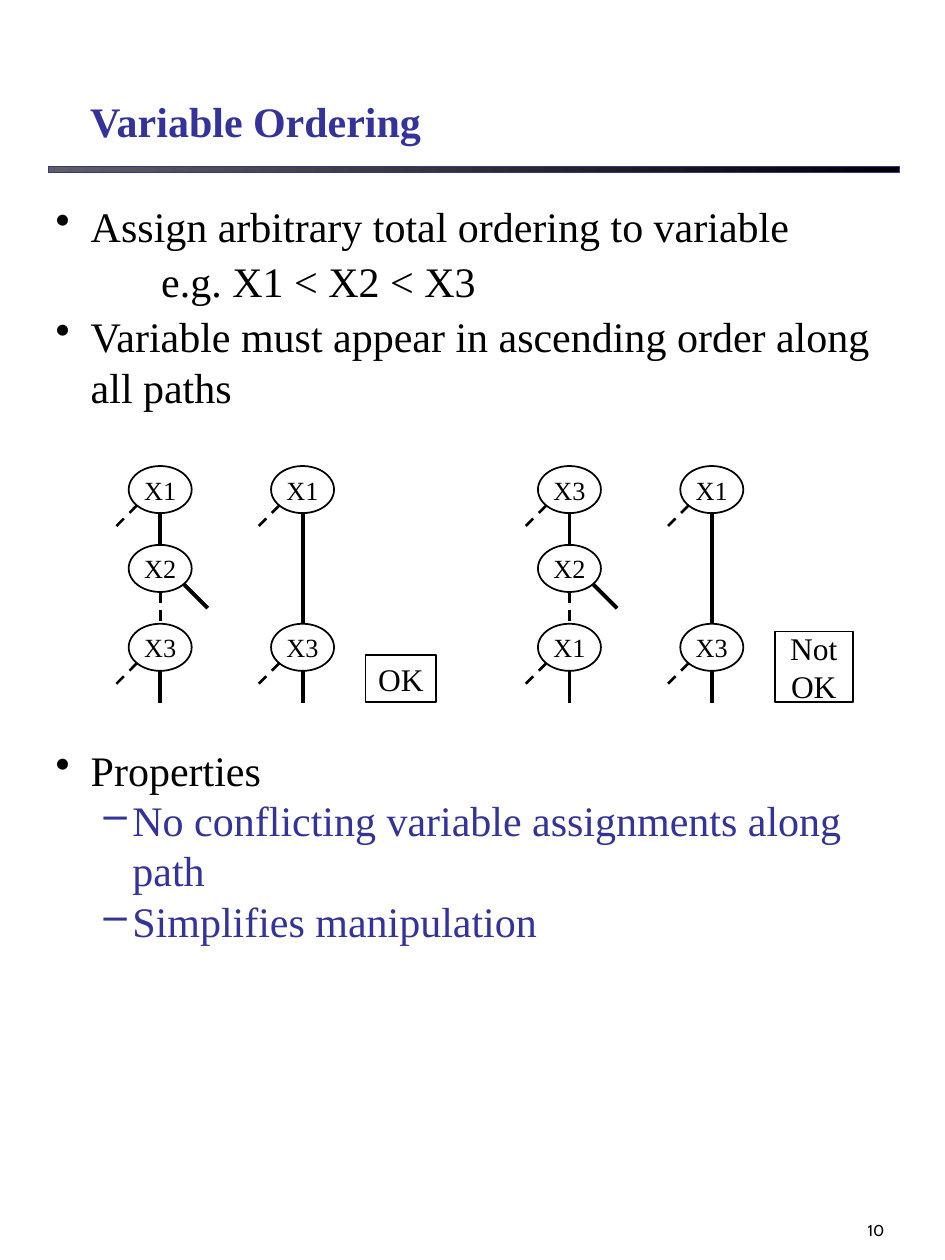
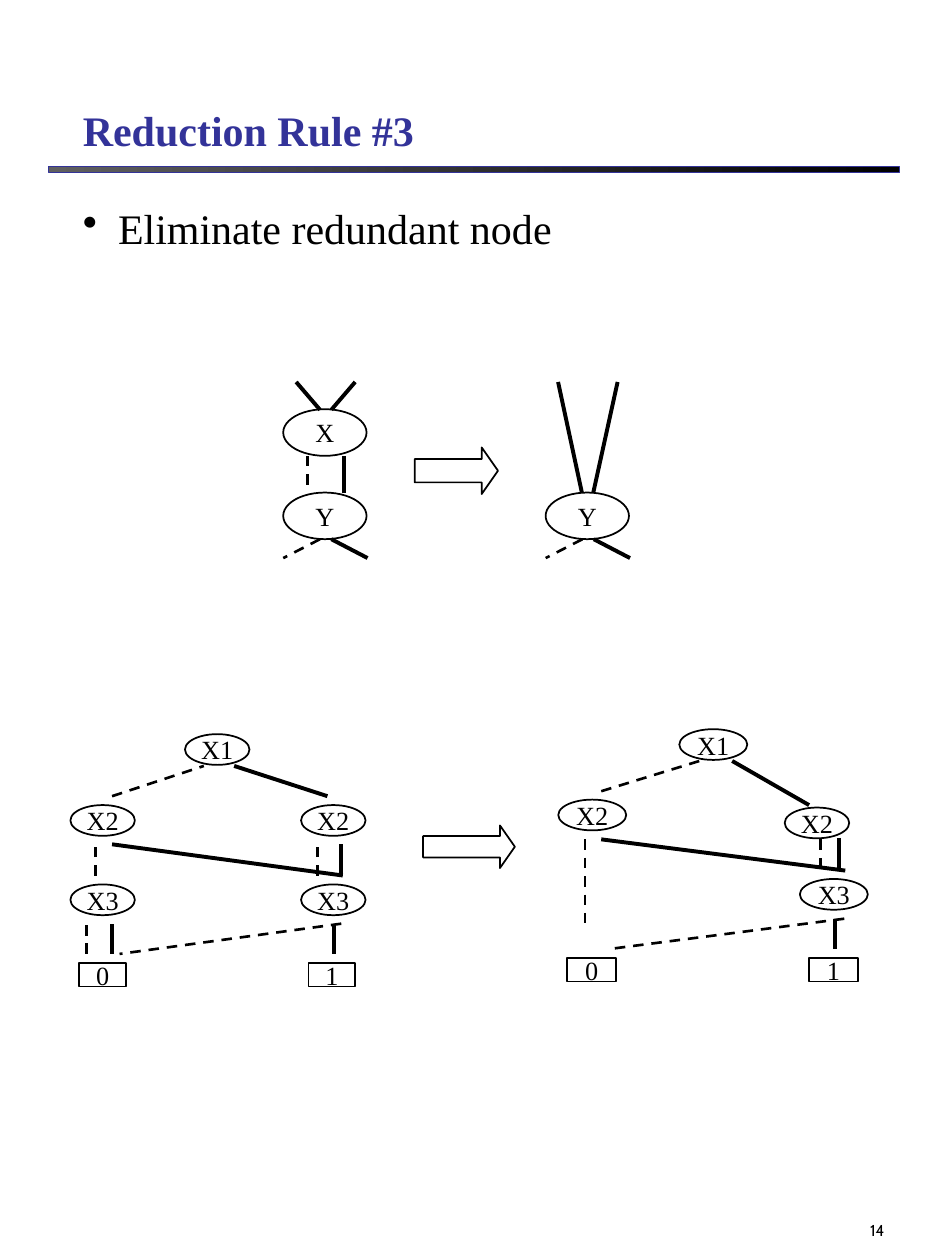
import pptx
import pptx.dml.color
import pptx.enum.dml
import pptx.enum.shapes
import pptx.enum.text
import pptx.oxml
import pptx.util

Cm, Pt = pptx.util.Cm, pptx.util.Pt
RGB = pptx.dml.color.RGBColor
SHAPE = pptx.enum.shapes.MSO_SHAPE
ALIGN = pptx.enum.text.PP_ALIGN
ANCHOR = pptx.enum.text.MSO_ANCHOR

BLACK = RGB(0, 0, 0)
GREY = RGB(0x5F, 0x5F, 0x5F)
NAVY = RGB(0x33, 0x33, 0x99)
SERIF, NUMBER_FONT = "Times New Roman", "Cabin"
SOLID, DASHED = "solid", "dashed"

# Bullet levels: character, colour, left margin and first-line indent in cm
LEVELS = {
    "main": ("•", BLACK, 0.71, -0.71),
    "example": (None, BLACK, 2.13, 0),
    "sub": ("–", NAVY, 1.55, -0.58),
}

# Body lines: text, level, space before in points
ORDERING_BODY = [
    ("Assign arbitrary total ordering to variable", "main", 2.8),
    ("e.g. X1 < X2 < X3", "example", 2.8),
    ("Variable must appear in ascending order along all paths", "main", 2.8),
    ("Properties", "main", 190),
    ("No conflicting variable assignments along path", "sub", 0),
    ("Simplifies manipulation", "sub", 0),
]
REDUCTION_BODY = [("Eliminate redundant node", "main", 5.6)]

# Variable chains: centre x, labels from top to bottom (None skips a level)
CHAINS = [
    (3.23, ["X1", "X2", "X3"]),
    (6.10, ["X1", None, "X3"]),
    (11.48, ["X3", "X2", "X1"]),
    (14.35, ["X1", None, "X3"]),
]
CHAIN_TOP, LEVEL_GAP = 9.87, 1.59
CHAIN_NODE = (1.27, 0.95)
VERDICTS = [("OK", 7.37, 13.21, 1.42, 0.95), ("Not\nOK", 15.62, 12.73, 1.57, 1.42)]

# Nodes: label, centre x, centre y, width, height
RULE_NODES = [(t, x, y, 1.68, 0.94) for t, x, y in [
    ("X", 6.55, 8.72), ("Y", 6.55, 10.4), ("Y", 11.84, 10.4)]]
BEFORE_NODES = [(t, x, y, 1.3, 0.62) for t, x, y in [
    ("X1", 4.38, 15.11), ("X2", 2.07, 16.54), ("X2", 6.72, 16.54),
    ("X3", 2.07, 18.14), ("X3", 6.72, 18.14)]]
AFTER_NODES = [
    ("X1", 14.38, 15.01, 1.37, 0.62), ("X2", 11.94, 16.43, 1.37, 0.62),
    ("X2", 16.47, 16.59, 1.3, 0.62), ("X3", 16.81, 18.03, 1.37, 0.62)]
LEAVES = [
    ("0", 2.07, 19.65, 0.94, 0.48), ("1", 6.69, 19.65, 0.94, 0.48),
    ("0", 11.93, 19.55, 0.99, 0.48), ("1", 16.8, 19.55, 0.99, 0.48)]

# Edges: style, start x, start y, end x, end y
RULE_EDGES = [
    (DASHED, 6.2, 9.19, 6.2, 9.93), (SOLID, 6.93, 9.19, 6.93, 9.93),
    (SOLID, 6.45, 8.26, 5.97, 7.7), (SOLID, 6.68, 8.26, 7.16, 7.7),
    (SOLID, 11.73, 9.93, 11.25, 7.7), (SOLID, 11.96, 9.93, 12.45, 7.7)]
BEFORE_EDGES = [
    (DASHED, 2.26, 16.05, 4.11, 15.44), (SOLID, 4.72, 15.44, 6.6, 16.05),
    (DASHED, 1.93, 17.65, 1.93, 17.02), (SOLID, 2.26, 17.02, 6.91, 17.65),
    (DASHED, 6.4, 17.65, 6.4, 17.02), (SOLID, 6.88, 17.02, 6.88, 17.65),
    (DASHED, 1.75, 19.23, 1.75, 18.62), (SOLID, 2.26, 19.23, 2.26, 18.62),
    (DASHED, 6.88, 18.62, 2.41, 19.23), (SOLID, 6.73, 18.62, 6.73, 19.23)]
AFTER_EDGES = [
    (DASHED, 12.12, 15.95, 14.1, 15.34), (SOLID, 14.76, 15.34, 16.31, 16.23),
    (DASHED, 11.79, 16.92, 11.79, 18.77), (SOLID, 12.12, 16.92, 17.04, 17.55),
    (DASHED, 16.54, 17.5, 16.54, 16.89), (SOLID, 16.92, 16.89, 16.92, 17.53),
    (DASHED, 17.02, 18.52, 12.29, 19.13), (SOLID, 16.84, 18.52, 16.84, 19.13)]
ARROWS = [(8.36, 9.02, 1.68, 0.94), (8.53, 16.64, 1.85, 0.86)]


def write(p, text, size=24, font=SERIF, color=BLACK, bold=False, align=None):
    r = p.add_run()
    r.text = text
    r.font.size, r.font.name, r.font.bold = Pt(size), font, bold
    r.font.color.rgb = color
    if align is not None:
        p.alignment = align


def add_box(s, x, y, w, h, anchor=ANCHOR.TOP):
    tf = s.shapes.add_textbox(Cm(x), Cm(y), Cm(w), Cm(h)).text_frame
    tf.word_wrap, tf.vertical_anchor = True, anchor
    return tf


def add_outline(s, kind, x, y, w, h, text="", size=15):
    """Unfilled black outline with one centred paragraph per text line."""
    sp = s.shapes.add_shape(kind, Cm(x), Cm(y), Cm(w), Cm(h))
    sp.shadow.inherit = False
    sp.fill.background()
    sp.line.color.rgb, sp.line.width = BLACK, Pt(1)
    tf = sp.text_frame
    tf.word_wrap, tf.vertical_anchor = False, ANCHOR.MIDDLE
    for i, line in enumerate(text.split("\n") if text else []):
        p = tf.add_paragraph() if i else tf.paragraphs[0]
        write(p, line, size=size, align=ALIGN.CENTER)
    return sp


def add_node(s, text, cx, cy, w, h, kind=SHAPE.OVAL):
    add_outline(s, kind, cx - w / 2, cy - h / 2, w, h, text)


def add_edge(s, style, x1, y1, x2, y2):
    line = s.shapes.add_connector(
        pptx.enum.shapes.MSO_CONNECTOR.STRAIGHT, Cm(x1), Cm(y1), Cm(x2), Cm(y2))
    line.line.color.rgb = BLACK
    line.line.width = Pt(2.25 if style == SOLID else 1.5)
    if style == DASHED:
        line.line.dash_style = pptx.enum.dml.MSO_LINE.DASH
    pptx.oxml.xmlchemy.OxmlElement  # element factory used below
    line._element.spPr.append(pptx.oxml.xmlchemy.OxmlElement("a:effectLst"))


def set_level(p, level):
    char, color, margin, indent = LEVELS[level]
    pPr = p._p.get_or_add_pPr()
    pPr.set("marL", str(Cm(margin)))
    pPr.set("indent", str(Cm(indent)))
    if char:
        clr = pptx.oxml.xmlchemy.OxmlElement("a:buClr")
        rgb = pptx.oxml.xmlchemy.OxmlElement("a:srgbClr")
        rgb.set("val", str(color))
        clr.append(rgb)
        bullet = pptx.oxml.xmlchemy.OxmlElement("a:buChar")
        bullet.set("char", char)
        pPr.extend([clr, bullet])
    return color


def add_body(s, lines, x, y, w, h):
    tf = add_box(s, x, y, w, h)
    for i, (text, level, before) in enumerate(lines):
        p = tf.add_paragraph() if i else tf.paragraphs[0]
        p.space_before = Pt(before)
        write(p, text, color=set_level(p, level))


def add_page(prs, title, title_box, number):
    """New slide with rule, page number and title."""
    s = prs.slides.add_slide(prs.slide_layouts[6])
    band = s.shapes.add_shape(SHAPE.RECTANGLE, Cm(0.97), Cm(3.35), Cm(17.15), Cm(0.12))
    band.shadow.inherit = False
    band.fill.gradient()
    band.fill.gradient_angle = 0
    for stop, color, position in zip(band.fill.gradient_stops, (GREY, BLACK), (0, 1)):
        stop.color.rgb, stop.position = color, position
    band.line.color.rgb, band.line.width = NAVY, Pt(0.25)
    tf = add_box(s, 14.12, 23.42, 3.96, 1.7, ANCHOR.BOTTOM)
    write(tf.paragraphs[0], number, size=9, font=NUMBER_FONT, align=ALIGN.RIGHT)
    tf = add_box(s, *title_box, ANCHOR.BOTTOM)
    write(tf.paragraphs[0], title, color=NAVY, bold=True)
    return s


def add_chain(s, cx, labels):
    w, h = CHAIN_NODE
    ys = [CHAIN_TOP + i * LEVEL_GAP for i in range(len(labels))]
    for label, y in zip(labels, ys):
        if label:
            add_node(s, label, cx, y, w, h)
    top, middle, bottom = ys
    half = h / 2
    if labels[1]:
        add_edge(s, SOLID, cx, top + half, cx, middle - half)
        add_edge(s, DASHED, cx, middle + half, cx, bottom - half)
        add_edge(s, SOLID, cx + 0.48, middle + 0.32, cx + 0.96, middle + 0.8)
    else:
        add_edge(s, SOLID, cx, top + half, cx, bottom - half)
    add_edge(s, SOLID, cx, bottom + half, cx, bottom + half + 0.64)
    for y in (top, bottom):
        add_edge(s, DASHED, cx - 0.47, y + 0.32, cx - 0.95, y + 0.8)


def build_ordering(prs):
    s = add_page(prs, "Variable Ordering", (1.57, 1.5, 16.2, 1.57), "10")
    add_body(s, ORDERING_BODY, 0.87, 3.91, 17.6, 16.4)
    for cx, labels in CHAINS:
        add_chain(s, cx, labels)
    for text, *box in VERDICTS:
        add_outline(s, SHAPE.RECTANGLE, *box, text, size=18)


def build_reduction(prs):
    s = add_page(prs, "Reduction Rule #3", (1.42, 1.5, 16.2, 1.75), "14")
    add_body(s, REDUCTION_BODY, 1.42, 3.96, 16.2, 1.52)
    for node in RULE_NODES + BEFORE_NODES + AFTER_NODES:
        add_node(s, *node)
    for leaf in LEAVES:
        add_node(s, *leaf, kind=SHAPE.RECTANGLE)
    for edge in RULE_EDGES + BEFORE_EDGES + AFTER_EDGES:
        add_edge(s, *edge)
    for label, cx, cy, w, h in RULE_NODES:
        if label == "Y":
            add_edge(s, DASHED, cx - 0.1, cy + h / 2, cx - 0.84, cy + 0.85)
            add_edge(s, SOLID, cx + 0.13, cy + h / 2, cx + 0.86, cy + 0.85)
    for box in ARROWS:
        add_outline(s, SHAPE.RIGHT_ARROW, *box).adjustments[1] = 0.35


def main():
    prs = pptx.Presentation()
    prs.slide_width, prs.slide_height = Cm(19.05), Cm(25.4)
    build_ordering(prs)
    build_reduction(prs)
    prs.save("out.pptx")


if __name__ == "__main__":
    main()
